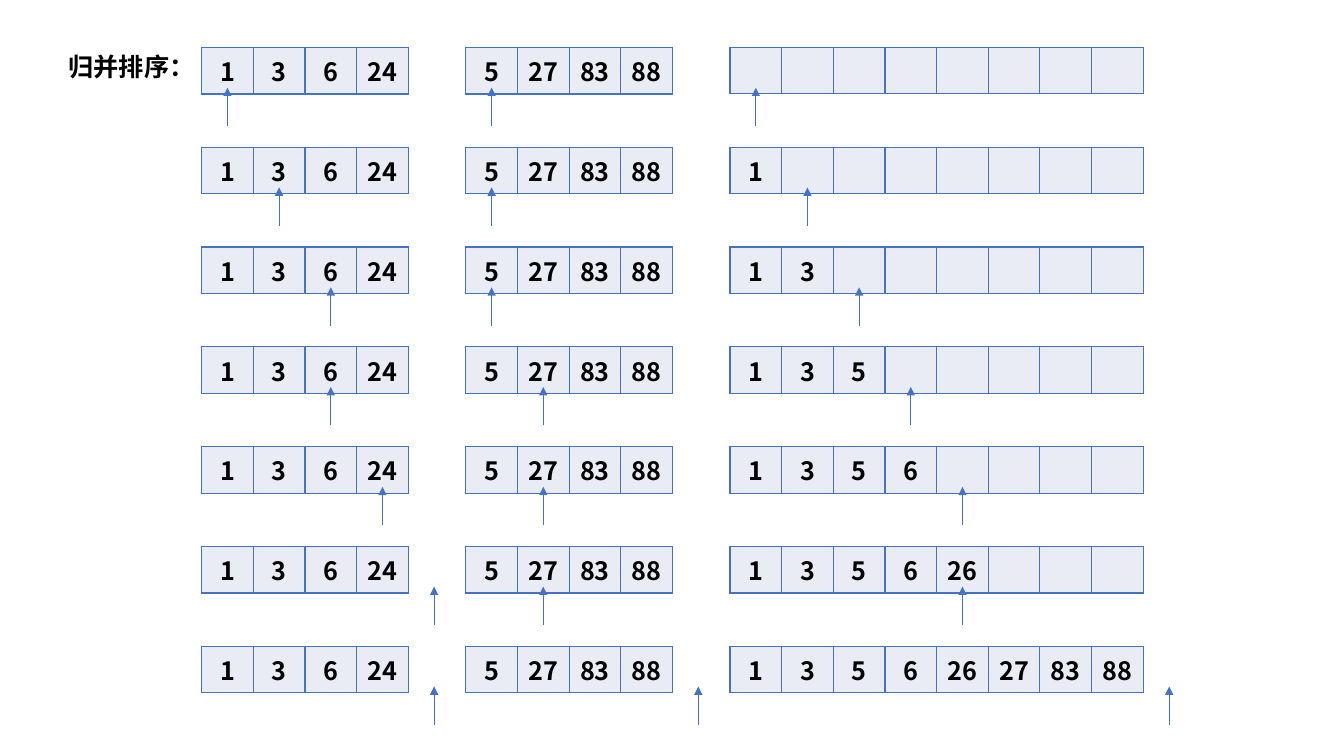
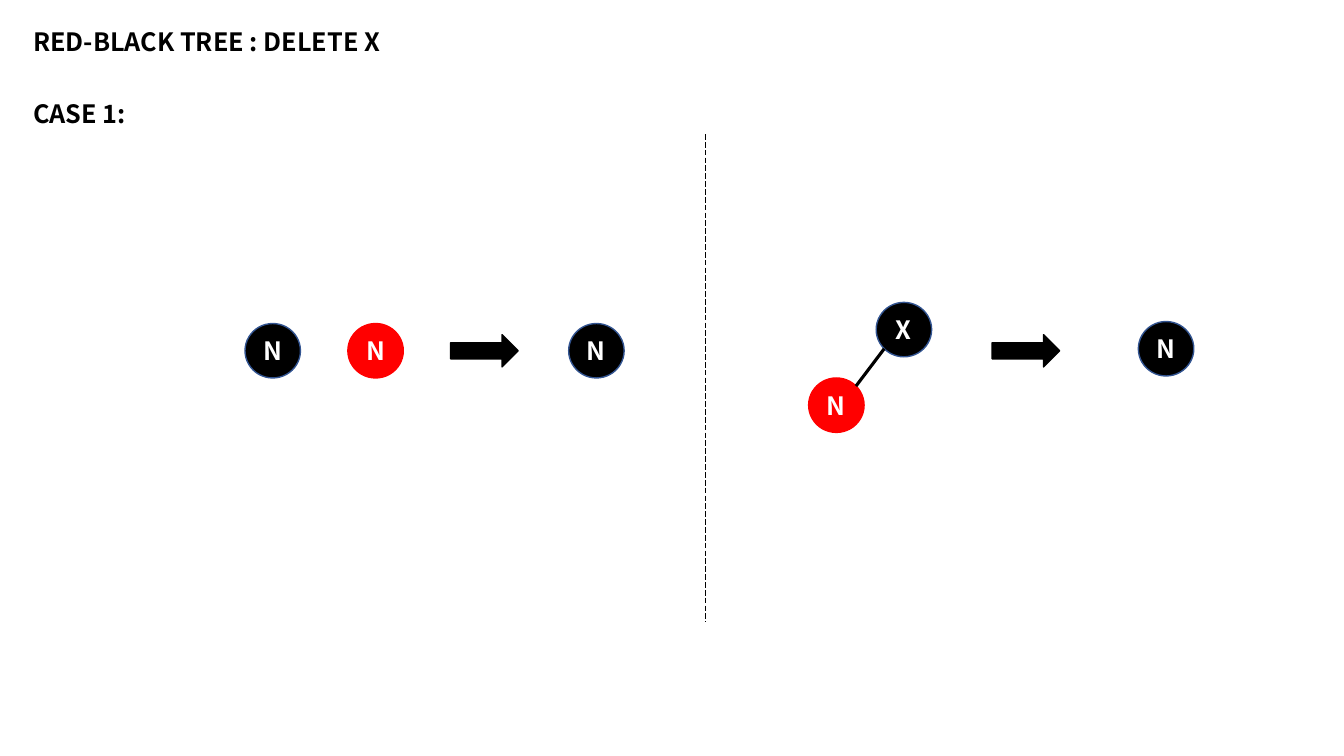
"""Build two slides: merge sort steps and red-black tree deletion."""
from lxml import etree
from pptx import Presentation, util as u
from pptx.dml.color import RGBColor
from pptx.enum import dml, shapes, text
from pptx.oxml.ns import qn

INK = {"black": "000000", "white": "FFFFFF", "red": "FF0000",
       "blue": "4472C4", "navy": "325491", "pale": "E9EBF5"}
FACE = "Noto Sans CJK SC"
FONT = {"name": FACE, "size": u.Pt(18), "bold": True}
HEAD = {"word_wrap": False, "auto_size": text.MSO_AUTO_SIZE.NONE,
        "vertical_anchor": text.MSO_ANCHOR.TOP}
CELL = 4.1 / 8
ROW = 0.46
TOP, STEP = 0.47, 0.99
LEFT, RIGHT = [1, 3, 6, 24], [5, 27, 83, 88]
MERGED = [1, 3, 5, 6, 26, 27, 83, 88]
START = (2, 4.62, 7.24)
MARKS = [(0, 0, 0), (1, 0, 1), (2, 0, 2), (2, 1, 3),
         (3, 1, 4), (4, 1, 4), (4, 4, 8)]
COUNTS = [0, 1, 2, 3, 4, 5, 8]


def tint(name):
    """Return a named colour."""
    return RGBColor.from_string(INK[name])


def apply(item, values):
    """Set each attribute named in a dict."""
    for key, value in values.items():
        setattr(item, key, value)


def write(frame, words, color="black", align=text.PP_ALIGN.LEFT):
    """Put one styled run into a text frame."""
    para = frame.paragraphs[0]
    para.alignment = align
    run = para.add_run()
    run.text = words
    apply(run.font, FONT)
    run.font.color.rgb = tint(color)
    latin = run.font._element.find(qn("a:latin"))
    latin.addnext(etree.Element(qn("a:ea"), typeface=FACE))


def label(box, words, x, y, w):
    """Place and fill a heading box."""
    spot = zip(("left", "top", "width", "height"), (x, y, w, 0.4))
    apply(box, {key: u.Inches(value) for key, value in spot})
    apply(box.text_frame, HEAD)
    write(box.text_frame, words)


def start(deck, words, x, y, w):
    """Add a title-only slide with its title."""
    slide = deck.slides.add_slide(deck.slide_layouts[5])
    label(slide.shapes.title, words, x, y, w)
    return slide


def edge(cell):
    """Draw thin blue borders around a cell."""
    props = cell._tc.get_or_add_tcPr()
    for side in ("lnL", "lnR", "lnT", "lnB"):
        line = etree.SubElement(props, qn("a:" + side), w=str(u.Pt(1)))
        fill = etree.SubElement(line, qn("a:solidFill"))
        etree.SubElement(fill, qn("a:srgbClr"), val=INK["blue"])


def array(slide, x, y, values, size):
    """Draw a one-row table, leaving unused cells empty."""
    table = slide.shapes.add_table(
        1, size, *map(u.Inches, (x, y, CELL * size, ROW))).table
    apply(table, {"first_row": False, "horz_banding": False})
    for col in table.columns:
        col.width = u.Inches(CELL)
    for i, cell in enumerate(table.rows[0].cells):
        edge(cell)
        cell.fill.solid()
        cell.fill.fore_color.rgb = tint("pale")
        if i < len(values):
            write(cell.text_frame, str(values[i]), align=text.PP_ALIGN.CENTER)


def link(slide, ends, color="black", width=0.5, dash=None, tip=False):
    """Draw a straight line, with an arrowhead if asked."""
    line = slide.shapes.add_connector(
        shapes.MSO_CONNECTOR.STRAIGHT, *map(u.Inches, ends))
    line.line.color.rgb = tint(color)
    line.line.width = u.Pt(width)
    if dash:
        line.line.dash_style = dash
    if tip:
        etree.SubElement(line.line._get_or_add_ln(), qn("a:tailEnd"),
                         type="triangle")
    etree.SubElement(line._element.spPr, qn("a:effectLst"))


def form(slide, kind, spot, fill, rim):
    """Draw a filled shape with a one-point outline."""
    shape = slide.shapes.add_shape(kind, *map(u.Inches, spot))
    shape.shadow.inherit = False
    shape.fill.solid()
    shape.fill.fore_color.rgb = tint(fill)
    shape.line.color.rgb = tint(rim)
    shape.line.width = u.Pt(1)
    return shape


def node(slide, x, y, name="N", fill="black"):
    """Draw a tree node."""
    rim = "navy" if fill == "black" else fill
    disc = form(slide, shapes.MSO_SHAPE.OVAL, (x, y, 0.55, 0.54), fill, rim)
    write(disc.text_frame, name, "white", text.PP_ALIGN.CENTER)


def sort(deck):
    """Build the merge sort slide."""
    slide = start(deck, "归并排序：", 0.58, 0.46, 1.25)
    for i, (marks, count) in enumerate(zip(MARKS, COUNTS)):
        y = TOP + STEP * i
        rows = (LEFT, 4), (RIGHT, 4), (MERGED[:count], 8)
        for x, (values, size) in zip(START, rows):
            array(slide, x, y, values, size)
        for x, mark in zip(START, marks):
            mid = x + CELL * (mark + 0.5)
            link(slide, (mid, y + 0.78, mid, y + 0.4), "blue", tip=True)


def tree(deck):
    """Build the red-black tree slide."""
    slide = start(deck, "RED-BLACK TREE : DELETE X", 0.23, 0.21, 3.8)
    case = slide.shapes.add_textbox(0, 0, 0, 0)
    label(case, "CASE 1:", 0.23, 0.93, 1.4)
    link(slide, (7, 1.33, 7, 6.17), dash=dml.MSO_LINE.LONG_DASH)
    for x in (4.47, 9.84):
        form(slide, shapes.MSO_SHAPE.RIGHT_ARROW, (x, 3.32, 0.67, 0.32),
             "black", "black")
    node(slide, 2.43, 3.21)
    node(slide, 3.45, 3.21, fill="red")
    node(slide, 5.64, 3.21)
    node(slide, 8.69, 3, "X")
    node(slide, 8.02, 3.75, fill="red")
    link(slide, (8.49, 3.83, 8.77, 3.46), width=2.25)
    node(slide, 11.29, 3.19)


def main():
    """Build and save the deck."""
    deck = Presentation()
    apply(deck, {"slide_width": u.Inches(13.33),
                 "slide_height": u.Inches(7.5)})
    sort(deck)
    tree(deck)
    deck.save("out.pptx")


if __name__ == "__main__":
    main()
